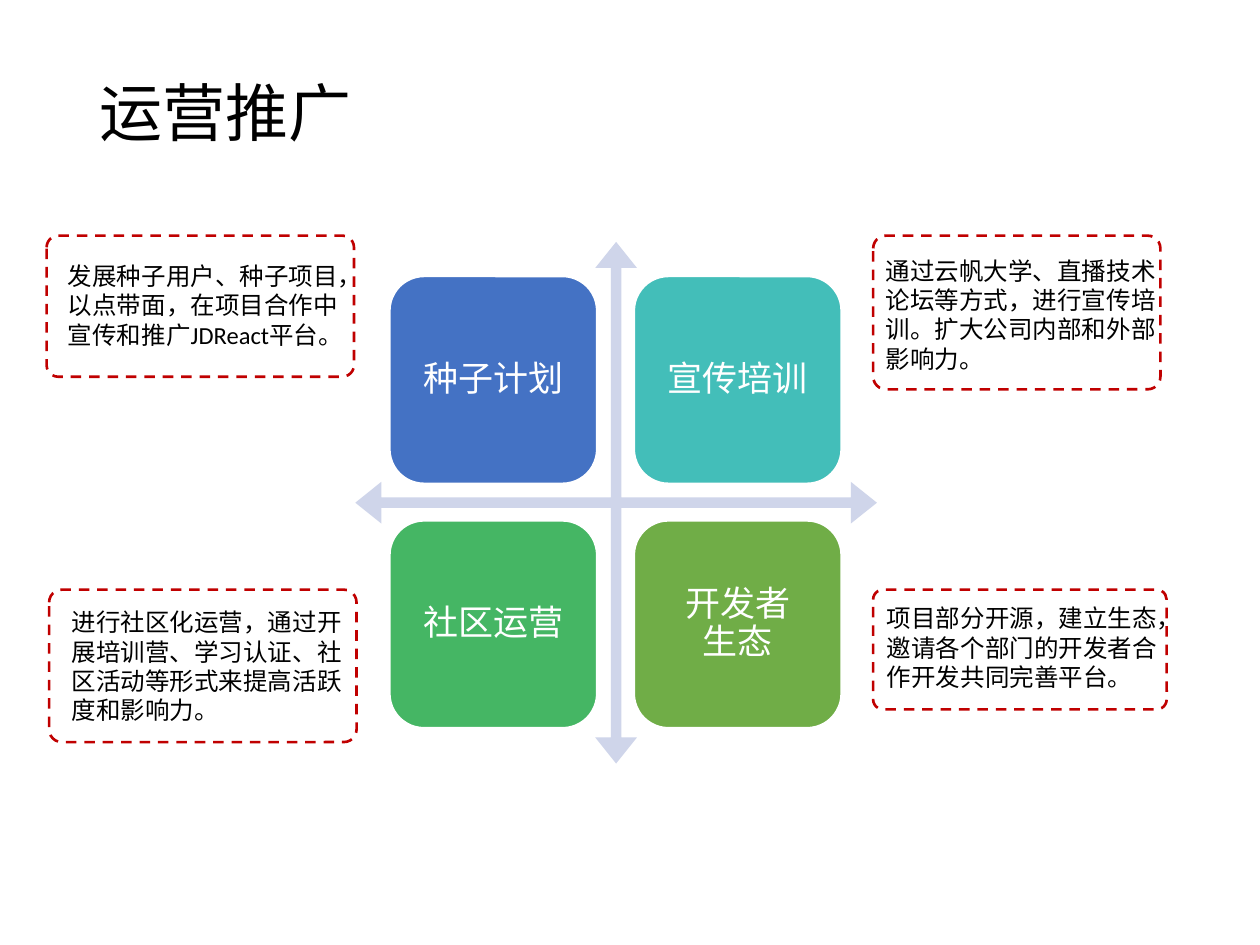
from pptx import Presentation
from pptx.dml.color import RGBColor
from pptx.enum.dml import MSO_LINE
from pptx.enum.shapes import MSO_SHAPE
from pptx.enum.text import MSO_ANCHOR, PP_ALIGN
from pptx.util import Inches, Pt

ROUNDED = MSO_SHAPE.ROUNDED_RECTANGLE
QUAD_ARROW = MSO_SHAPE.QUAD_ARROW
DASH = MSO_LINE.DASH
MIDDLE, TOP = MSO_ANCHOR.MIDDLE, MSO_ANCHOR.TOP
LEFT, CENTER = PP_ALIGN.LEFT, PP_ALIGN.CENTER

BLACK, WHITE, RED, PALE_BLUE = "000000", "FFFFFF", "C00000", "CFD5EA"

TILE_LEFT, TILE_TOP, TILE_SIZE, TILE_PITCH = 3.09, 2.19, 1.65, 1.94

TILES = [
    ("种子计划", "4472C4"),
    ("宣传培训", "43BEB9"),
    ("社区运营", "45B664"),
    ("开发者\v生态", "70AD47"),
]

NOTES = [
    ("发展种子用户、种子项目，以点带面，在项目合作中宣传和推广JDReact平台。",
     (0.44, 2.02, 2.39, 0.81), (0.37, 1.87, 2.44, 1.12)),
    ("通过云帆大学、直播技术论坛等方式，进行宣传培训。扩大公司内部和外部影响力。",
     (6.93, 1.98, 2.39, 1.04), (6.93, 1.87, 2.28, 1.22)),
    ("进行社区化运营，通过开展培训营、学习认证、社区活动等形式来提高活跃度和影响力。",
     (0.47, 4.77, 2.39, 1.04), (0.39, 4.68, 2.44, 1.21)),
    ("项目部分开源，建立生态，邀请各个部门的开发者合作开发共同完善平台。",
     (6.94, 4.74, 2.39, 0.81), (6.93, 4.68, 2.33, 0.95)),
]


def color(hex_value):
    return RGBColor.from_string(hex_value)


class SlideBuilder:
    font_name = "Calibri"
    outline_width = Pt(1.5)

    def __init__(self, slide):
        self.slide = slide

    def fill_text(self, frame, words, size, ink, align=LEFT, anchor=TOP, spacing=1.0):
        frame.word_wrap = True
        frame.vertical_anchor = anchor
        paragraph = frame.paragraphs[0]
        paragraph.text = words
        paragraph.alignment = align
        paragraph.line_spacing = spacing
        font_format = {"name": self.font_name, "size": Pt(size)}
        for run in paragraph.runs:
            for key, value in font_format.items():
                setattr(run.font, key, value)
            run.font.color.rgb = color(ink)

    def text(self, box, words, size, **layout):
        area = self.slide.shapes.add_textbox(*map(Inches, box))
        self.fill_text(area.text_frame, words, size, BLACK, **layout)

    def shape(self, kind, box, fill=None, outline=None, adjustments=()):
        figure = self.slide.shapes.add_shape(kind, *map(Inches, box))
        figure.shadow.inherit = False
        for index, value in enumerate(adjustments):
            figure.adjustments[index] = value
        if fill:
            figure.fill.solid()
            figure.fill.fore_color.rgb = color(fill)
        else:
            figure.fill.background()
        if outline:
            figure.line.color.rgb = color(outline)
            figure.line.width = self.outline_width
        else:
            figure.line.fill.background()
        return figure

    def tile(self, box, label, fill):
        frame = self.shape(ROUNDED, box, fill, WHITE).text_frame
        for side in ("left", "top", "right", "bottom"):
            setattr(frame, f"margin_{side}", Inches(0.08))
        self.fill_text(frame, label, 20, WHITE, CENTER, MIDDLE, 0.9)

    def dashed_frame(self, box):
        border = self.shape(ROUNDED, box, outline=RED, adjustments=[0.083])
        border.line.dash_style = DASH


def main():
    deck = Presentation()
    deck.slide_width, deck.slide_height = Inches(10), Inches(7.5)
    builder = SlideBuilder(deck.slides.add_slide(deck.slide_layouts[6]))

    builder.text((0.69, 0.49, 8.4, 0.86), "运营推广", 36, anchor=MIDDLE, spacing=0.9)
    builder.shape(QUAD_ARROW, (2.82, 1.92, 4.14, 4.14), PALE_BLUE,
                  adjustments=[0.02, 0.04, 0.05])

    for index, (label, fill) in enumerate(TILES):
        row, column = divmod(index, 2)
        left = TILE_LEFT + column * TILE_PITCH
        top = TILE_TOP + row * TILE_PITCH
        builder.tile((left, top, TILE_SIZE, TILE_SIZE), label, fill)

    for words, text_box, frame_box in NOTES:
        builder.text(text_box, words, 14)
        builder.dashed_frame(frame_box)

    deck.save("out.pptx")


if __name__ == "__main__":
    main()
